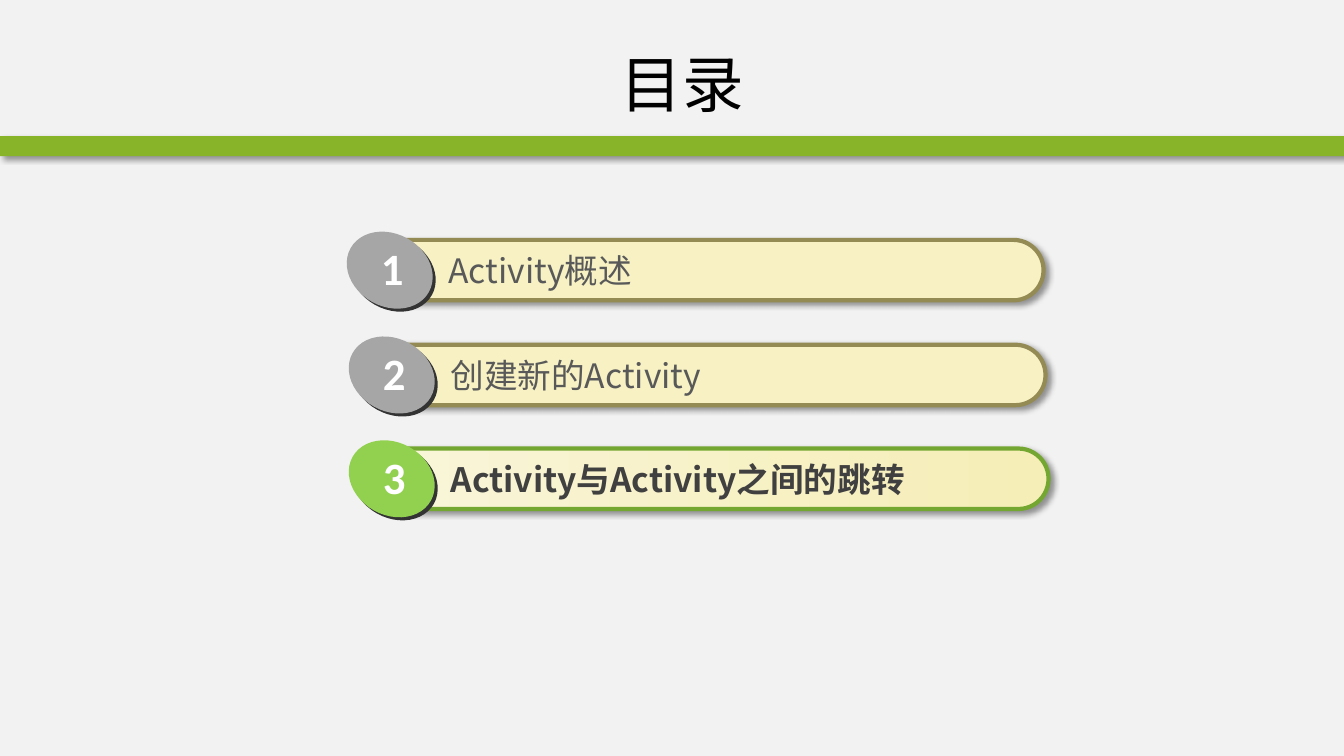
from dataclasses import dataclass

from lxml import etree
from pptx import Presentation
from pptx.dml.color import RGBColor
from pptx.enum import shapes, text
from pptx.oxml import ns
from pptx.util import Inches, Pt


@dataclass(frozen=True)
class Theme:
    """Colours, fonts and type sizes of the slide."""
    back: str = "F2F2F2"
    band: str = "88B429"
    cream: str = "F7F1C4"
    glow: tuple = ("F9F5D9", "F5EEB7")
    edge: str = "948A54"
    live_edge: str = "74A731"
    rim: str = "333333"
    grey: str = "A6A6A6"
    live: str = "92D050"
    ink: str = "595959"
    live_ink: str = "404040"
    white: str = "FFFFFF"
    black: str = "000000"
    cjk: str = "Noto Sans CJK SC"
    latin: str = "Calibri"
    title: int = 44
    digit: int = 32
    body: int = 24


T = Theme()
KIND = shapes.MSO_SHAPE
ITEMS = [
    ("Activity概述", 3.64, 2.38, 6.71),
    ("创建新的Activity", 3.66, 3.42, 6.71),
    ("Activity与Activity之间的跳转", 3.66, 4.45, 6.74),
]


def rgb(code):
    """Turn a hex code into a colour."""
    return RGBColor.from_string(code)


def write(frame, words, size=T.body, font=T.cjk, color=T.ink, bold=False,
          align=text.PP_ALIGN.LEFT, anchor=text.MSO_ANCHOR.TOP, wrap=True):
    """Put formatted words into a text frame."""
    frame.word_wrap = wrap
    frame.vertical_anchor = anchor
    para = frame.paragraphs[0]
    para.alignment = align
    run = para.add_run()
    run.text = words
    face = run.font
    face.name, face.size, face.bold = font, Pt(size), bold
    face.color.rgb = rgb(color)
    east = etree.SubElement(face._element, ns.qn("a:ea"))
    east.set("typeface", font)


def label(host, box, words, **style):
    """Add a text box that grows with its words."""
    frame = host.add_textbox(*map(Inches, box)).text_frame
    write(frame, words, **style)
    frame.auto_size = text.MSO_AUTO_SIZE.SHAPE_TO_FIT_TEXT


def shade(shape):
    """Give a shape a soft shadow down to the right."""
    effects = shape._element.spPr.find(ns.qn("a:effectLst"))
    cast = etree.SubElement(effects, ns.qn("a:outerShdw"), blurRad=str(Pt(4)),
                            dist=str(Pt(3)), dir="2700000", algn="tl", rotWithShape="0")
    tint = etree.SubElement(cast, ns.qn("a:srgbClr"), val=T.black)
    etree.SubElement(tint, ns.qn("a:alpha"), val="40000")


def form(host, kind, box, fill, edge=None, cast=False, turn=0):
    """Add a preset shape with a plain or two-colour fill."""
    shape = host.add_shape(kind, *map(Inches, box))
    shape.rotation = turn
    shape.shadow.inherit = False
    if isinstance(fill, tuple):
        shape.fill.gradient()
        shape.fill.gradient_angle = 0
        for stop, code, place in zip(shape.fill.gradient_stops, fill, (0, 1)):
            stop.color.rgb = rgb(code)
            stop.position = place
    else:
        shape.fill.solid()
        shape.fill.fore_color.rgb = rgb(fill)
    if edge:
        shape.line.color.rgb = rgb(edge)
        shape.line.width = Pt(3)
    else:
        shape.line.fill.background()
    if cast:
        shade(shape)
    return shape


def entry(slide, rank, words, left, top, width, live):
    """Add one numbered entry as a group."""
    host = slide.shapes.add_group_shape().shapes
    pill = form(host, KIND.ROUNDED_RECTANGLE, (left, top, width, 0.6),
                T.glow if live else T.cream, T.live_edge if live else T.edge, cast=True)
    pill.adjustments[0] = 0.5
    label(host, (left + 0.71, top + 0.05, 5.35, 0.51), words,
          color=T.live_ink if live else T.ink, bold=live)
    for shift, fill in ((0.03, T.rim), (0, T.live if live else T.grey)):
        form(host, KIND.OVAL, (left - 0.22 + shift, top - 0.06 + shift, 0.89, 0.72),
             fill, turn=29.3)
    label(host, (left + 0.04, top - 0.04, 0.43, 0.64), str(rank), size=T.digit,
          font=T.latin, color=T.white, bold=True, wrap=False)


def main():
    """Build the contents slide and save it."""
    deck = Presentation()
    deck.slide_width, deck.slide_height = Inches(13.33), Inches(7.5)
    slide = deck.slides.add_slide(deck.slide_layouts[5])
    slide.background.fill.solid()
    slide.background.fill.fore_color.rgb = rgb(T.back)
    form(slide.shapes, KIND.RECTANGLE, (0, 1.35, 13.33, 0.2), T.band, cast=True)
    title = slide.shapes.title
    title.left, title.top, title.width, title.height = map(Inches, (1.39, 0.3, 10.76, 1.05))
    write(title.text_frame, "目录", size=T.title, color=T.black,
          align=text.PP_ALIGN.CENTER, anchor=text.MSO_ANCHOR.MIDDLE)
    for rank, item in enumerate(ITEMS, 1):
        entry(slide, rank, *item, live=rank == len(ITEMS))
    deck.save("out.pptx")


if __name__ == "__main__":
    main()
